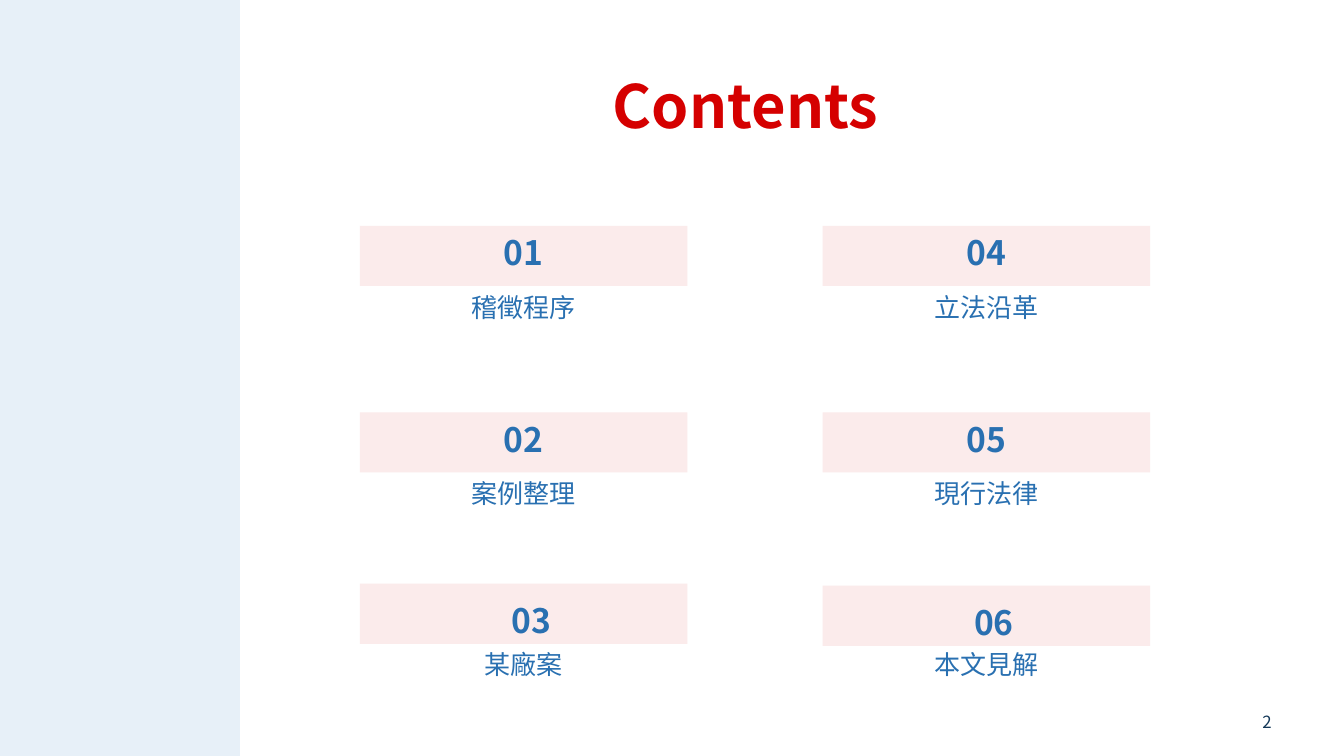
from lxml.etree import SubElement
from pptx import Presentation
from pptx.dml.color import RGBColor
from pptx.enum.shapes import MSO_SHAPE
from pptx.enum.text import MSO_ANCHOR, MSO_AUTO_SIZE, PP_ALIGN
from pptx.oxml.ns import qn
from pptx.util import Pt

TITLE = "Contents"
PAGE_NUMBER = "2"
# One list per column: number, heading
COLUMNS = [
    [("01", "稽徵程序"), ("02", "案例整理"), ("03", "某廠案")],
    [("04", "立法沿革"), ("05", "現行法律"), ("06", "本文見解")],
]

FONT = "Noto Sans CJK SC"
PALE_BLUE, PALE_RED, RED, BLUE, NAVY = "E7F0F8", "FBEBEB", "D50000", "2970B1", "143858"

COLUMN_LEFTS = [257, 587.6]
BAR_TOPS = [[161.3, 294.5, 416.9], [161.3, 294.5, 418.3]]
HEADING_TOPS = [198.7, 331.6, 453.6]
BAR_WIDTH, BAR_HEIGHT = 234, 43
HEADING_WIDTH, HEADING_HEIGHT = 216, 60.5
LAST_ROW = 2

NUMBER_STYLE = {"size": Pt(24), "bold": True}
UPPER_BAR = {"inset": 9.6, "anchor": MSO_ANCHOR.BOTTOM}
LAST_BAR = {"inset": 7.2, "anchor": MSO_ANCHOR.TOP, "indent": 10.8, "spacing": 1.15}


def color(value):
    """Turn a hex string into a colour."""
    return RGBColor.from_string(value)


def write(holder, words, ink, style, inset=9.6, anchor=MSO_ANCHOR.TOP, indent=0, spacing=1.0):
    """Put one centred line of text into a shape."""
    frame = holder.text_frame
    layout = {"word_wrap": True, "auto_size": MSO_AUTO_SIZE.NONE, "vertical_anchor": anchor}
    layout.update({f"margin_{side}": Pt(inset) for side in ("left", "right", "top", "bottom")})
    for key, value in layout.items():
        setattr(frame, key, value)
    line = frame.paragraphs[0]
    line.alignment = PP_ALIGN.CENTER
    line.line_spacing = spacing
    if indent:
        line._p.get_or_add_pPr().set("marL", str(Pt(indent)))
    run = line.add_run()
    run.text = words
    for key, value in {"name": FONT, **style}.items():
        setattr(run.font, key, value)
    run.font.color.rgb = color(ink)
    SubElement(run._r.get_or_add_rPr(), qn("a:ea"), typeface=FONT)


def add_block(left, top, width, height, fill):
    """Add a plain filled rectangle."""
    block = slide.shapes.add_shape(MSO_SHAPE.RECTANGLE, Pt(left), Pt(top), Pt(width), Pt(height))
    block.shadow.inherit = False
    block.fill.solid()
    block.fill.fore_color.rgb = color(fill)
    block.line.fill.background()
    return block


def add_label(left, top, width, height):
    """Add an empty text box."""
    return slide.shapes.add_textbox(Pt(left), Pt(top), Pt(width), Pt(height))


deck = Presentation()
deck.slide_width, deck.slide_height = Pt(960), Pt(540)
slide = deck.slides.add_slide(deck.slide_layouts[5])

add_block(0, 0, 171.4, 540, PALE_BLUE)

title = slide.shapes.title
for edge, length in {"left": 180, "top": 39.6, "width": 705, "height": 57}.items():
    setattr(title, edge, Pt(length))
write(title, TITLE, RED, {"size": Pt(42.6), "bold": True})

for left, bar_tops, entries in zip(COLUMN_LEFTS, BAR_TOPS, COLUMNS):
    heading_left = left + (BAR_WIDTH - HEADING_WIDTH) / 2
    for row, (number, heading) in enumerate(entries):
        bar = add_block(left, bar_tops[row], BAR_WIDTH, BAR_HEIGHT, PALE_RED)
        write(bar, number, BLUE, NUMBER_STYLE, **(LAST_BAR if row == LAST_ROW else UPPER_BAR))
        label = add_label(heading_left, HEADING_TOPS[row], HEADING_WIDTH, HEADING_HEIGHT)
        write(label, heading, BLUE, {"size": Pt(18.6)})

write(add_label(875, 501, 60, 29), PAGE_NUMBER, NAVY, {"size": Pt(12)},
      inset=3.6, anchor=MSO_ANCHOR.MIDDLE)

deck.save("out.pptx")
